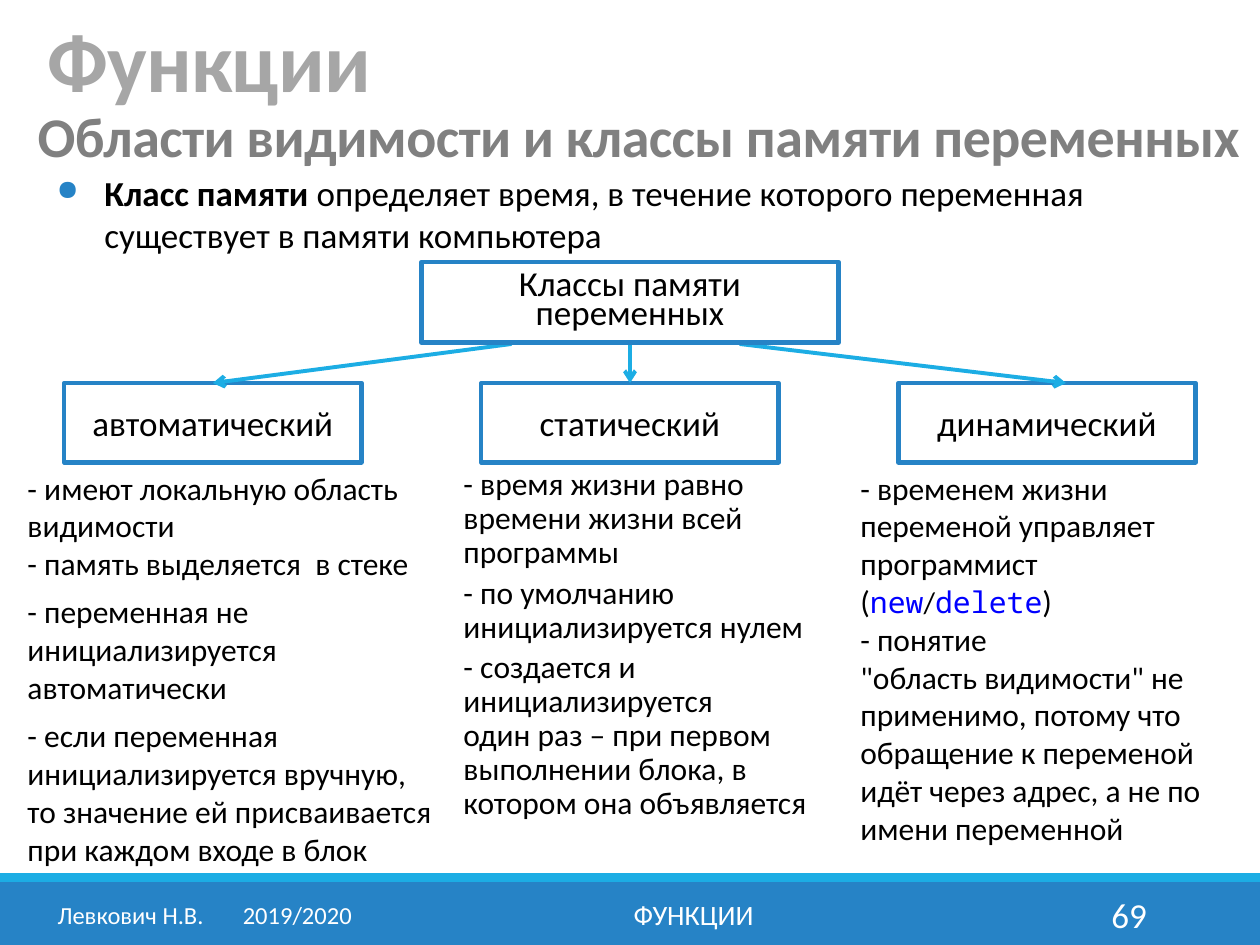
from lxml.etree import SubElement
from pptx import Presentation
from pptx.dml.color import RGBColor
from pptx.enum.shapes import MSO_CONNECTOR, MSO_SHAPE
from pptx.enum.text import MSO_ANCHOR, MSO_AUTO_SIZE, PP_ALIGN
from pptx.oxml.ns import qn
from pptx.util import Inches, Pt

THEME = {
    "font": "Calibri", "mono": "Noto Sans Mono",
    "blue": "2683C6", "cyan": "1CADE4", "code": "0000FF",
    "title": "A6A6A6", "subtitle": "808080", "ink": "000000", "white": "FFFFFF",
    "title_pt": 48, "subtitle_pt": 32, "lead_pt": 20, "body_pt": 18,
    "code_pt": 17, "page_pt": 20, "topic_pt": 16, "author_pt": 14,
}
CODE = {"font": THEME["mono"], "size": THEME["code_pt"], "color": THEME["code"]}

TITLE = "Функции"
SUBTITLE = "Области видимости и классы памяти переменных"
DEFINITION = [("Класс памяти", {"bold": True}),
              " определяет время, в течение которого переменная существует в памяти компьютера"]
ROOT = "Классы памяти переменных"
CLASSES = [
    {"name": "автоматический", "arrow": (4.06, 1.69), "notes_at": (0.12, 3.46, 3.3),
     "spacing": {"before": 6},
     "notes": ["- имеют локальную область видимости\n- память выделяется  в стеке",
               "- переменная не инициализируется автоматически",
               "- если переменная инициализируется вручную, то значение ей "
               "присваивается при каждом входе в блок"]},
    {"name": "статический", "arrow": (5, 5), "notes_at": (3.58, 2.99, 2.95),
     "spacing": {"before": 3.6, "line": 0.9},
     "notes": ["- время жизни равно времени жизни всей программы",
               "- по умолчанию инициализируется нулем",
               "- создается и инициализируется\nодин раз – при первом выполнении "
               "блока, в котором она объявляется"]},
    {"name": "динамический", "arrow": (5.87, 8.46), "notes_at": (6.73, 3.15, 2.83),
     "spacing": {},
     "notes": [["- временем жизни переменой управляет программист (", ("new", CODE),
                ("/", {"size": THEME["code_pt"]}), ("delete", CODE), ")"],
               "- понятие\n\"область видимости\" не применимо, потому что обращение к "
               "переменой идёт через адрес, а не по имени переменной"]},
]
FOOTER = [
    ("Левкович Н.В.\t2019/2020", 0.32, 2.61, "author_pt", PP_ALIGN.CENTER, 1.47),
    ("ФУНКЦИИ", 3.02, 4.97, "topic_pt", PP_ALIGN.CENTER, None),
    ("69", 8.12, 1.08, "page_pt", PP_ALIGN.RIGHT, None),
]
WIDTH, HEIGHT = 10, 7.5
BAR_TOP, STRIPE = 7, 0.07
PITCH, CLASS_WIDTH, CLASS_TOP, CLASS_HEIGHT = 3.31, 2.36, 3.04, 0.63
ROOT_TOP, ROOT_HEIGHT, ARROW_TOP = 2.08, 0.64, 2.73

deck = Presentation()
deck.slide_width, deck.slide_height = Inches(WIDTH), Inches(HEIGHT)
slide = deck.slides.add_slide(deck.slide_layouts[6])


def style(font, size=None, color=None, bold=None, font_name=None):
    if size:
        font.size = Pt(size)
    if color:
        font.color.rgb = RGBColor.from_string(color)
    if bold is not None:
        font.bold = bold
    if font_name:
        font.name = font_name


def add_bullet(paragraph):
    props = paragraph._p.get_or_add_pPr()
    props.set("marL", str(Inches(0.38)))
    props.set("indent", str(-Inches(0.38)))
    tint = SubElement(props, qn("a:buClr"))
    SubElement(tint, qn("a:srgbClr"), val=THEME["blue"])
    SubElement(props, qn("a:buSzPct"), val="80000")
    SubElement(props, qn("a:buChar"), char="●")


def add_tab(paragraph, position):
    stops = SubElement(paragraph._p.get_or_add_pPr(), qn("a:tabLst"))
    SubElement(stops, qn("a:tab"), pos=str(Inches(position)), algn="l")


def write(frame, paragraphs, size, color=THEME["ink"], bold=None, align=None,
          anchor=MSO_ANCHOR.TOP, line=None, before=None, tracking=None,
          bullet=False, tab=None, wrap=True, grow=False):
    frame.word_wrap = wrap
    frame.vertical_anchor = anchor
    if grow:
        frame.auto_size = MSO_AUTO_SIZE.SHAPE_TO_FIT_TEXT
    for index, pieces in enumerate(paragraphs):
        paragraph = frame.add_paragraph() if index else frame.paragraphs[0]
        if bullet:
            add_bullet(paragraph)
        if tab:
            add_tab(paragraph, tab)
        paragraph.alignment = align
        if line:
            paragraph.line_spacing = line
        if before:
            paragraph.space_before = Pt(before)
        style(paragraph.font, size, color, bold, THEME["font"])
        for piece in [pieces] if isinstance(pieces, str) else pieces:
            words, look = (piece, {}) if isinstance(piece, str) else piece
            for number, part in enumerate(words.split("\n")):
                if number:
                    paragraph.add_line_break()
                run = paragraph.add_run()
                run.text = part
                style(run.font, look.get("size"), look.get("color"),
                      look.get("bold"), look.get("font"))
                if tracking:
                    run._r.get_or_add_rPr().set("spc", str(tracking))


def add_text(box, paragraphs, size, **options):
    frame = slide.shapes.add_textbox(*map(Inches, box)).text_frame
    write(frame, paragraphs, THEME[size], **options)


def add_box(box, fill=None, label=None, line=None):
    shape = slide.shapes.add_shape(MSO_SHAPE.RECTANGLE, *map(Inches, box))
    shape.shadow.inherit = False
    if fill:
        shape.fill.solid()
        shape.fill.fore_color.rgb = RGBColor.from_string(fill)
        shape.line.fill.background()
    else:
        shape.fill.background()
        shape.line.color.rgb = RGBColor.from_string(THEME["blue"])
        shape.line.width = Pt(2.5)
    if label:
        write(shape.text_frame, [label], THEME["lead_pt"], align=PP_ALIGN.CENTER,
              anchor=MSO_ANCHOR.MIDDLE, line=line)


def add_arrow(start, end):
    arrow = slide.shapes.add_connector(
        MSO_CONNECTOR.STRAIGHT, Inches(start), Inches(ARROW_TOP), Inches(end), Inches(CLASS_TOP))
    arrow.line.color.rgb = RGBColor.from_string(THEME["cyan"])
    arrow.line.width = Pt(2.25)
    SubElement(arrow.line._get_or_add_ln(), qn("a:tailEnd"), type="arrow")
    SubElement(arrow._element.spPr, qn("a:effectLst"))


add_box((0, BAR_TOP, WIDTH, HEIGHT - BAR_TOP), THEME["blue"])
add_box((0, BAR_TOP - STRIPE, WIDTH, STRIPE), THEME["cyan"])
add_text((0.2, 0.76, 10.02, 0.64), [SUBTITLE], "subtitle_pt", color=THEME["subtitle"],
         bold=True, tracking=-30, tab=2.84, wrap=False, grow=True)
add_text((0.28, 0, 8.25, 0.92), [TITLE], "title_pt", color=THEME["title"], bold=True,
         tracking=-50, line=0.85, anchor=MSO_ANCHOR.BOTTOM)
add_text((0.35, 1.31, 9.45, 0.77), [DEFINITION], "lead_pt", before=6, bullet=True, grow=True)

for column, storage in enumerate(CLASSES):
    left = WIDTH / 2 + (column - 1) * PITCH - CLASS_WIDTH / 2
    add_box((left, CLASS_TOP, CLASS_WIDTH, CLASS_HEIGHT), label=storage["name"])
    add_arrow(*storage["arrow"])
    notes_left, notes_width, notes_height = storage["notes_at"]
    add_text((notes_left, CLASS_TOP + CLASS_HEIGHT, notes_width, notes_height),
             storage["notes"], "body_pt", grow=True, **storage["spacing"])
add_box(((WIDTH - PITCH) / 2, ROOT_TOP, PITCH, ROOT_HEIGHT), label=ROOT, line=0.7)

for words, left, width, size, align, tab in FOOTER:
    add_text((left, 7.06, width, 0.4), [words], size, color=THEME["white"], align=align,
             anchor=MSO_ANCHOR.MIDDLE, tab=tab)

deck.save("out.pptx")
